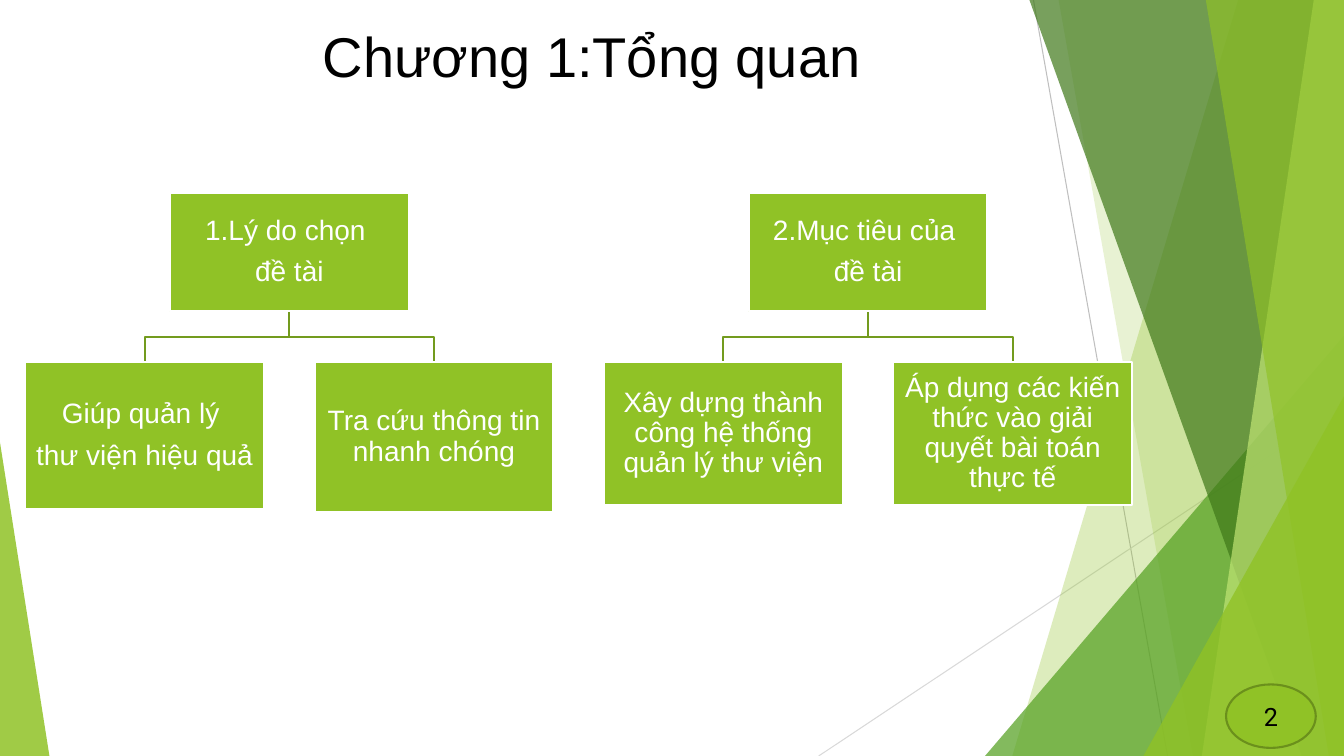
from lxml import etree
from pptx import Presentation
from pptx.dml.color import RGBColor
from pptx.enum.shapes import MSO_CONNECTOR, MSO_SHAPE
from pptx.enum.text import MSO_ANCHOR, MSO_AUTO_SIZE, PP_ALIGN
from pptx.oxml.ns import qn
from pptx.util import Inches, Pt

STRAIGHT = MSO_CONNECTOR.STRAIGHT
RECTANGLE, TRIANGLE, OVAL = MSO_SHAPE.RECTANGLE, MSO_SHAPE.ISOSCELES_TRIANGLE, MSO_SHAPE.OVAL
MIDDLE, CENTER, LEFT = MSO_ANCHOR.MIDDLE, PP_ALIGN.CENTER, PP_ALIGN.LEFT
FIXED = MSO_AUTO_SIZE.NONE

WIDTH, HEIGHT = 13.33, 7.5
TITLE_ONLY = 5
GREEN, WHITE, BLACK = "90C226", "FFFFFF", "000000"
BRANCH_GREEN, RING_GREEN = "739B1E", "6B901C"

TREE_LEFT, COLUMN_PITCH, BOX_WIDTH = 0.25, 2.87, 2.37
ROOT_TOP, ROOT_HEIGHT, LEAF_TOP = 1.91, 1.18, 3.59

TOPICS = [
    (["1.Lý do chọn ", "đề tài"], [
        (["Giúp quản lý ", "thư viện hiệu quả"], 1.46),
        (["Tra cứu thông tin nhanh chóng"], 1.49),
    ]),
    (["2.Mục tiêu của ", "đề tài"], [
        (["Xây dựng thành công hệ thống quản lý thư viện"], 1.42),
        (["Áp dụng các kiến thức vào giải quyết bài toán thực tế"], 1.42),
    ]),
]

RAYS = [((10.25, 0), (11.58, HEIGHT), "BFBFBF"),
        ((WIDTH, 4.03), (8.12, HEIGHT), "D9D9D9")]


def color(value):
    return RGBColor.from_string(value)


def paint(shape, fill=None, opacity=100, line=None, line_width=1.5):
    shape.shadow.inherit = False
    if fill:
        shape.fill.solid()
        shape.fill.fore_color.rgb = color(fill)
        if opacity < 100:
            tone = shape.fill._xPr.find(qn("a:solidFill"))[0]
            etree.SubElement(tone, qn("a:alpha"), val=str(opacity * 1000))
    else:
        shape.fill.background()
    if line:
        shape.line.color.rgb = color(line)
        shape.line.width = Pt(line_width)
    else:
        shape.line.fill.background()


def write(shape, lines, size=20, font="Arial", ink=WHITE, align=CENTER,
          inset=0.01, spacing=1.0, after=0):
    frame = shape.text_frame
    frame.word_wrap = True
    frame.auto_size = FIXED
    frame.vertical_anchor = MIDDLE
    frame.margin_left = frame.margin_right = Inches(inset)
    frame.margin_top = frame.margin_bottom = Inches(inset)
    for index, text in enumerate(lines):
        paragraph = frame.add_paragraph() if index else frame.paragraphs[0]
        paragraph.text = text
        paragraph.alignment = align
        paragraph.line_spacing = spacing
        paragraph.space_before = Pt(0)
        paragraph.space_after = Pt(after)
        paragraph.font.size = Pt(size)
        paragraph.font.name = font
        paragraph.font.color.rgb = color(ink)


def add_preset(slide, kind, left, top, width, height, **style):
    shape = slide.shapes.add_shape(
        kind, Inches(left), Inches(top), Inches(width), Inches(height))
    paint(shape, **style)
    return shape


def add_outline(slide, points, close=True, **style):
    corners = [(Inches(x), Inches(y)) for x, y in points]
    builder = slide.shapes.build_freeform(*corners[0], scale=1.0)
    builder.add_line_segments(corners[1:], close=close)
    paint(builder.convert_to_shape(), **style)


def add_ray(slide, start, end, tone):
    ray = slide.shapes.add_connector(
        STRAIGHT, *(Inches(value) for value in start + end))
    ray.line.color.rgb = color(tone)
    ray.line.width = Pt(0.75)
    etree.SubElement(ray._element.spPr, qn("a:effectLst"))


def add_band(slide, top_left, bottom_left, fill, opacity):
    add_outline(slide, [(top_left, 0), (WIDTH, 0), (WIDTH, HEIGHT), (bottom_left, HEIGHT)],
                fill=fill, opacity=opacity)


def add_corner(slide, left, top, width, apex, fill, opacity):
    triangle = add_preset(slide, TRIANGLE, left, top, width, HEIGHT - top,
                          fill=fill, opacity=opacity)
    triangle.adjustments[0] = apex


def add_backdrop(slide):
    for ray in RAYS:
        add_ray(slide, *ray)
    add_band(slide, 12.28, 10.04, GREEN, 30)
    add_band(slide, 10.5, 11.83, GREEN, 20)
    add_corner(slide, 9.77, 3.33, WIDTH - 9.77, 1, "54A021", 72)
    add_band(slide, 10.21, 12.91, "3F7819", 70)
    add_band(slide, 13.03, 11.92, "C0E474", 70)
    add_band(slide, 11.96, 13.18, GREEN, 65)
    add_corner(slide, 11.34, 3.93, WIDTH - 11.34, 1, GREEN, 80)
    add_corner(slide, 0, 4.39, 0.49, 0, GREEN, 85)


def add_title(slide, text):
    title = slide.shapes.title
    title.left, title.top = Inches(3.1), Inches(0.16)
    title.width, title.height = Inches(7.59), Inches(0.77)
    write(title, [text], size=40, ink=BLACK, align=LEFT, inset=0.1)


def add_box(slide, column, top, height, lines):
    box = add_preset(slide, RECTANGLE, TREE_LEFT + column * COLUMN_PITCH, top,
                     BOX_WIDTH, height, fill=GREEN, line=WHITE)
    write(box, lines, spacing=0.9, after=8)


def add_branch(slide, root_column, leaf_column):
    root_x, leaf_x = (TREE_LEFT + column * COLUMN_PITCH + BOX_WIDTH / 2
                      for column in (root_column, leaf_column))
    root_bottom = ROOT_TOP + ROOT_HEIGHT
    middle = (root_bottom + LEAF_TOP) / 2
    add_outline(slide, [(root_x, root_bottom), (root_x, middle),
                        (leaf_x, middle), (leaf_x, LEAF_TOP)],
                close=False, line=BRANCH_GREEN)


def add_tree(slide, first_column, heading, leaves):
    root_column = first_column + (len(leaves) - 1) / 2
    for column in range(first_column, first_column + len(leaves)):
        add_branch(slide, root_column, column)
    add_box(slide, root_column, ROOT_TOP, ROOT_HEIGHT, heading)
    for column, (lines, height) in enumerate(leaves, first_column):
        add_box(slide, column, LEAF_TOP, height, lines)


def add_page_number(slide, number):
    badge = add_preset(slide, OVAL, 12.16, 6.79, 0.89, 0.63, fill=GREEN, line=RING_GREEN)
    write(badge, [number], size=18, font="Roboto", ink=BLACK)


def main():
    presentation = Presentation()
    presentation.slide_width = Inches(WIDTH)
    presentation.slide_height = Inches(HEIGHT)
    slide = presentation.slides.add_slide(presentation.slide_layouts[TITLE_ONLY])
    add_backdrop(slide)
    add_title(slide, "Chương 1:Tổng quan")
    first_column = 0
    for heading, leaves in TOPICS:
        add_tree(slide, first_column, heading, leaves)
        first_column += len(leaves)
    add_page_number(slide, "2")
    presentation.save("out.pptx")


if __name__ == "__main__":
    main()
